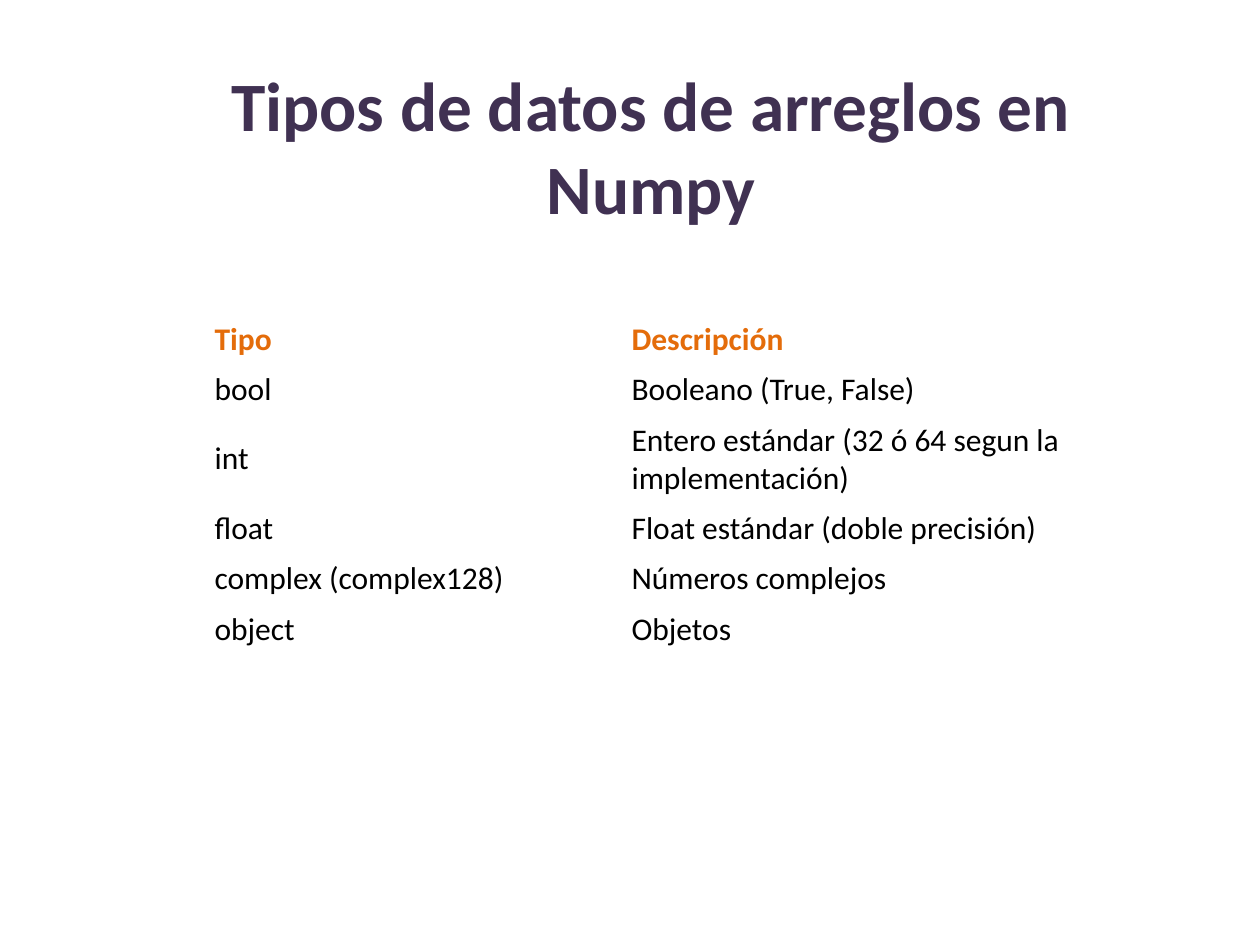
from dataclasses import dataclass

from pptx import Presentation
from pptx.dml.color import RGBColor as Color
from pptx.enum.text import MSO_ANCHOR as Anchor, PP_ALIGN as Align
from pptx.util import Pt

PIXEL = 914400 // 126


@dataclass(frozen=True)
class Theme:
    font: str = "Calibri"
    title_size: float = 39.6
    body_size: float = 18
    title_color: str = "403152"
    header_color: str = "E46C0A"
    text_color: str = "000000"
    background: str = "FFFFFF"


def px(value):
    return value * PIXEL


def set_values(target, values):
    for name, value in values.items():
        setattr(target, name, value)


class SlideBuilder:
    def __init__(self, slide, theme):
        self.slide = slide
        self.theme = theme

    def add_text(self, paragraph, text, size, color, bold=False, align=Align.LEFT):
        paragraph.alignment = align
        run = paragraph.add_run()
        run.text = text
        set_values(run.font, {"name": self.theme.font, "size": Pt(size), "bold": bold})
        run.font.color.rgb = Color.from_string(color)

    def add_title(self, text, left, top, width, height):
        shape = self.slide.shapes.add_textbox(*map(px, (left, top, width, height)))
        frame = shape.text_frame
        set_values(frame, {"word_wrap": True, "vertical_anchor": Anchor.MIDDLE})
        self.add_text(frame.paragraphs[0], text, self.theme.title_size,
                      self.theme.title_color, True, Align.CENTER)

    def add_table(self, rows, left, top, widths, heights):
        box = map(px, (left, top, sum(widths), sum(heights)))
        table = self.slide.shapes.add_table(len(rows), len(widths), *box).table
        table.horz_banding = False
        for column, width in zip(table.columns, widths):
            column.width = px(width)
        for index, (row, height, texts) in enumerate(zip(table.rows, heights, rows)):
            row.height = px(height)
            header = index == 0
            color = self.theme.header_color if header else self.theme.text_color
            for cell, text in zip(row.cells, texts):
                cell.vertical_anchor = Anchor.MIDDLE
                cell.fill.solid()
                cell.fill.fore_color.rgb = Color.from_string(self.theme.background)
                self.add_text(cell.text_frame.paragraphs[0], text,
                              self.theme.body_size, color, header)


presentation = Presentation()
set_values(presentation, {"slide_width": px(1260), "slide_height": px(945)})
slide = presentation.slides.add_slide(presentation.slide_layouts[6])
builder = SlideBuilder(slide, Theme())

# Title
builder.add_title("Tipos de datos de arreglos en Numpy", 123, 66, 1056, 158)

# Table of data types
data_types = [
    ("Tipo", "Descripción"),
    ("bool", "Booleano (True, False)"),
    ("int", "Entero estándar (32 ó 64 segun la implementación)"),
    ("float", "Float estándar (doble precisión)"),
    ("complex (complex128)", "Números complejos"),
    ("object", "Objetos"),
]
ROW, TALL_ROW = 50, 87
heights = [TALL_ROW if name == "int" else ROW for name, _ in data_types]
builder.add_table(data_types, 202, 314, (417, 561), heights)

presentation.save("out.pptx")
